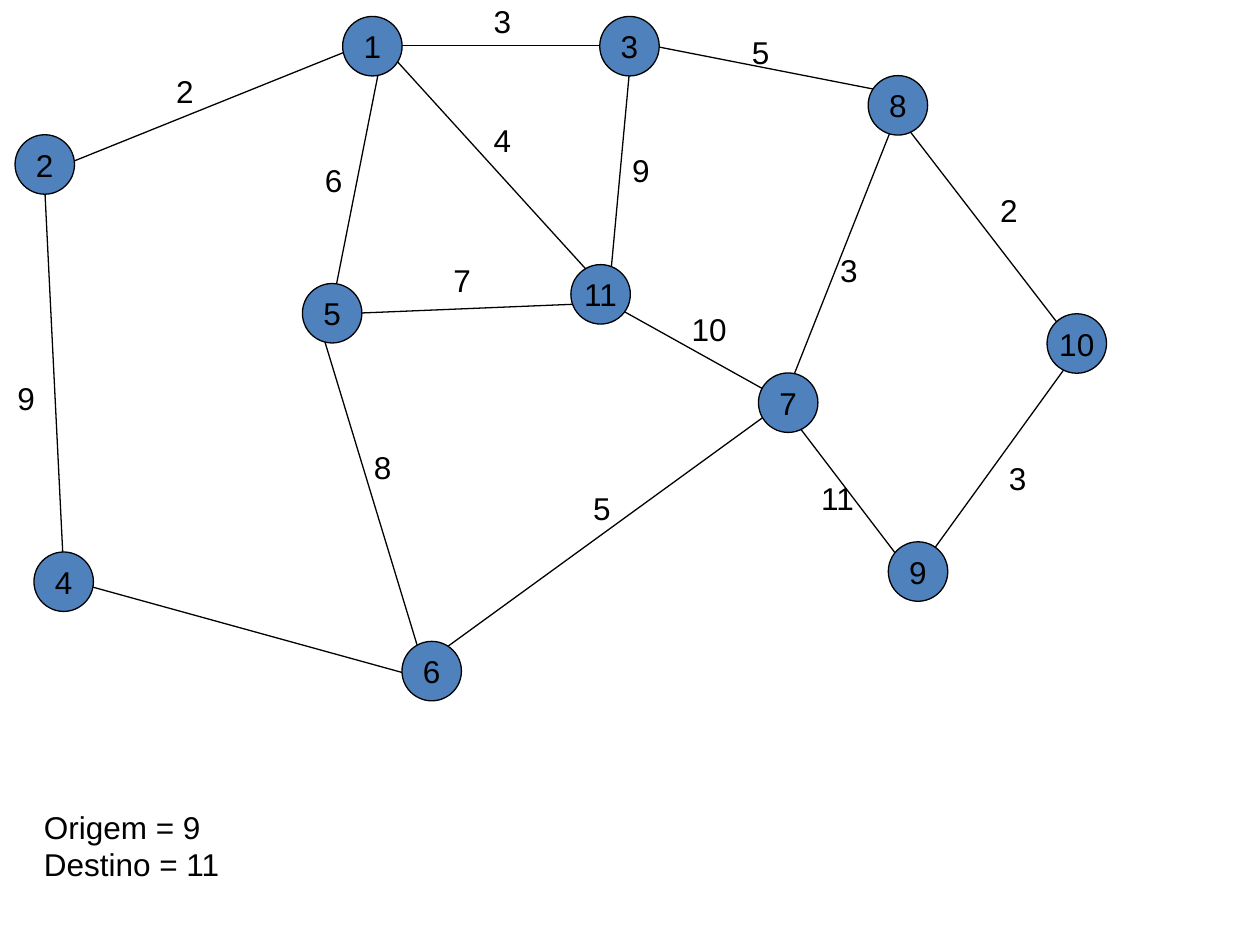
from dataclasses import dataclass
from typing import NamedTuple, Optional

from lxml.etree import SubElement
from pptx import Presentation
from pptx.dml.color import RGBColor
from pptx.enum.shapes import MSO_CONNECTOR as Connector, MSO_SHAPE as Shape
from pptx.enum.text import MSO_ANCHOR as Anchor, MSO_AUTO_SIZE as AutoSize, PP_ALIGN as Align
from pptx.oxml.ns import qn
from pptx.util import Pt


@dataclass(frozen=True)
class Theme:
    font: str = "Arial"
    text_size: float = 18
    line_width: float = 0.75
    ink: RGBColor = RGBColor(0x00, 0x00, 0x00)
    node_fill: RGBColor = RGBColor(0x4F, 0x81, 0xBD)


class Edge(NamedTuple):
    begin: tuple
    end: tuple
    weight: Optional[int] = None
    label_at: Optional[tuple] = None


THEME = Theme()
NODE_SIZE = 34
LABEL_HEIGHT = 28.8
LABEL_WIDTHS = {1: 24.5, 2: 34.5}

NODES = {
    1: (195.8, 9.4),
    3: (342.7, 9.4),
    8: (496.1, 43.2),
    10: (598.3, 179.3),
    9: (507.6, 309.6),
    7: (433.4, 213.1),
    11: (326.2, 151.2),
    5: (172.8, 162),
    2: (8.6, 77),
    4: (19.4, 315.4),
    6: (229.7, 366.5),
}

EDGES = [
    Edge((206.6, 25.9), (36.7, 94.3), 2, (93.6, 37.4)),
    Edge((25.2, 100.1), (36.7, 332.6), 9, (2.9, 213.1)),
    Edge((42.5, 332.6), (246.2, 388.8)),
    Edge((524.2, 326.9), (614.9, 201.6), 3, (569.5, 258.5)),
    Edge((609.1, 190.8), (512.6, 65.5), 2, (564.5, 105.8)),
    Edge((512.6, 65.5), (445, 236.2), 3, (473, 139.7)),
    Edge((450.7, 236.2), (524.2, 332.6), 11, (462.2, 270)),
    Edge((450.7, 230.4), (348.5, 173.5), 10, (388.1, 173.5)),
    Edge((195.8, 179.3), (337, 173.5), 7, (252, 145.4)),
    Edge((218.2, 31.7), (190.1, 173.5), 6, (178.6, 88.6)),
    Edge((184.3, 190.8), (241.2, 378), 8, (206.6, 252.7)),
    Edge((218.2, 25.9), (354.2, 25.9), 3, (275, -2.2)),
    Edge((371.5, 25.9), (518.4, 54.7), 5, (422.6, 15.1)),
    Edge((360, 37.4), (348.5, 162), 9, (354.2, 82.8)),
    Edge((223.9, 31.7), (337, 156.2), 4, (275, 65.5)),
    Edge((439.2, 236.2), (252, 372.2), 5, (331.9, 275.8)),
]


def style_line(line):
    line.color.rgb = THEME.ink
    line.width = Pt(THEME.line_width)


def write_text(text_frame, lines, alignment):
    text_frame.word_wrap = False
    text_frame.text = "\n".join(lines)
    for paragraph in text_frame.paragraphs:
        paragraph.alignment = alignment
        paragraph.font.name = THEME.font
        paragraph.font.size = Pt(THEME.text_size)
        paragraph.font.color.rgb = THEME.ink


def add_edge(slide, edge):
    points = [Pt(value) for value in (*edge.begin, *edge.end)]
    connector = slide.shapes.add_connector(Connector.STRAIGHT, *points)
    style_line(connector.line)
    SubElement(connector._element.spPr, qn("a:effectLst"))


def add_node(slide, number, position):
    left, top = position
    shape = slide.shapes.add_shape(Shape.OVAL, Pt(left), Pt(top), Pt(NODE_SIZE), Pt(NODE_SIZE))
    shape.shadow.inherit = False
    shape.fill.solid()
    shape.fill.fore_color.rgb = THEME.node_fill
    style_line(shape.line)
    shape.text_frame.vertical_anchor = Anchor.MIDDLE
    write_text(shape.text_frame, [str(number)], Align.CENTER)


def add_label(slide, lines, position, width, height):
    left, top = position
    shape = slide.shapes.add_textbox(Pt(left), Pt(top), Pt(width), Pt(height))
    shape.text_frame.auto_size = AutoSize.SHAPE_TO_FIT_TEXT
    write_text(shape.text_frame, lines, Align.LEFT)


def main():
    presentation = Presentation()
    presentation.slide_width, presentation.slide_height = Pt(720), Pt(540)
    slide = presentation.slides.add_slide(presentation.slide_layouts[6])

    for edge in EDGES:
        add_edge(slide, edge)
    for number, position in NODES.items():
        add_node(slide, number, position)
    for edge in EDGES:
        if edge.weight is not None:
            weight = str(edge.weight)
            add_label(slide, [weight], edge.label_at, LABEL_WIDTHS[len(weight)], LABEL_HEIGHT)
    add_label(slide, ["Origem = 9", "Destino = 11"], (18, 458), 116, 50.4)

    presentation.save("out.pptx")


if __name__ == "__main__":
    main()
